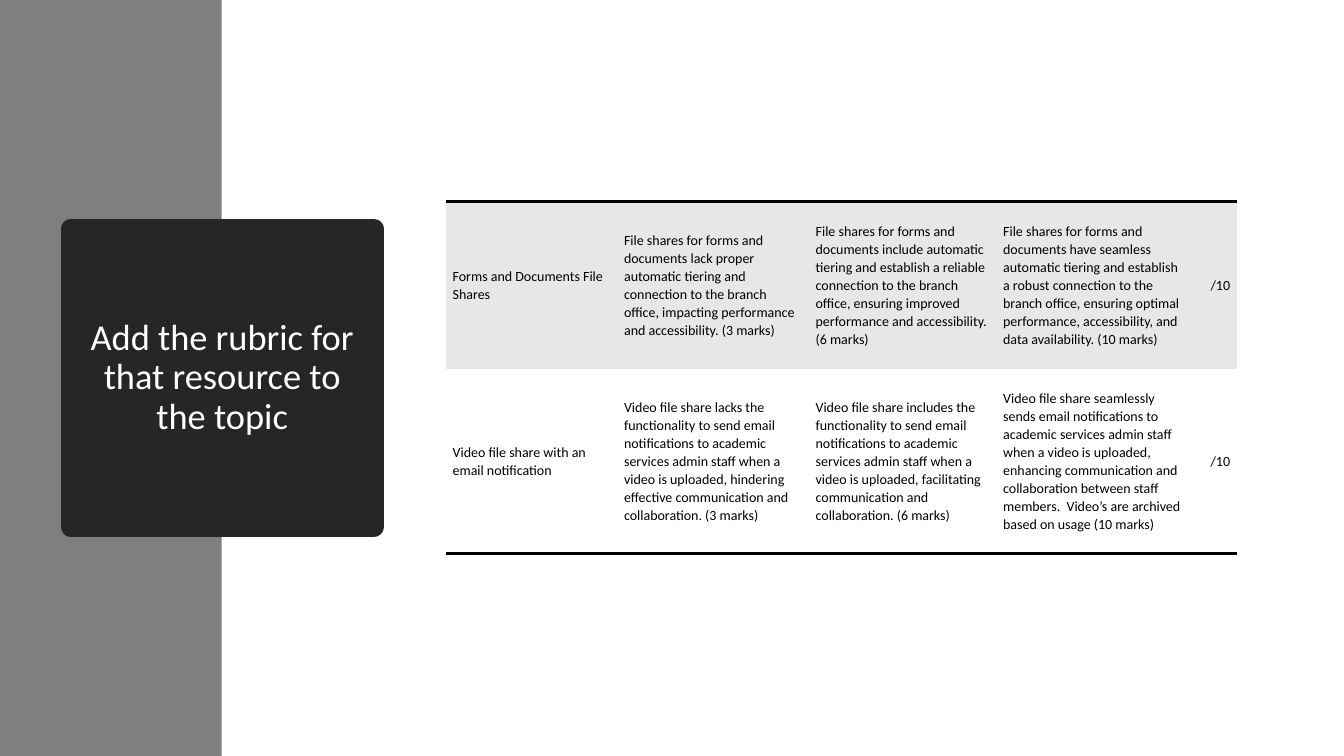
"""Build a slide with a title card beside a two-row marking rubric."""
from lxml.etree import SubElement
from pptx import Presentation
from pptx.dml.color import RGBColor
from pptx.enum.shapes import MSO_SHAPE as Shape
from pptx.enum.text import MSO_ANCHOR as Anchor, PP_ALIGN as Align
from pptx.oxml import parse_xml
from pptx.oxml.ns import nsdecls, qn
from pptx.util import Inches, Pt

BLACK = RGBColor(0x00, 0x00, 0x00)
WHITE = RGBColor(0xFF, 0xFF, 0xFF)
SIDEBAR_GRAY = RGBColor(0x7F, 0x7F, 0x7F)
CARD_GRAY = RGBColor(0x26, 0x26, 0x26)
BAND_GRAY = RGBColor(0xE7, 0xE7, 0xE7)
FONT = "Calibri"
SLIDE_WIDTH, SLIDE_HEIGHT = 13.33, 7.5
PLAIN_TABLE_STYLE = "{2D5ABB26-0587-4C30-8999-92F81FD0307C}"
TITLE = "Add the rubric for that resource to the topic"
COLUMN_WIDTHS = (1.7, 1.9, 1.86, 1.9, 0.49)
ROW_HEIGHTS = (1.66, 1.83)
ROW_FILLS = (BAND_GRAY, WHITE)
ROW_BORDERS = ("lnT", "lnB")
RUBRIC = (
    (
        "Forms and Documents File Shares",
        "File shares for forms and documents lack proper automatic tiering and "
        "connection to the branch office, impacting performance and "
        "accessibility. (3 marks)",
        "File shares for forms and documents include automatic tiering and "
        "establish a reliable connection to the branch office, ensuring "
        "improved performance and accessibility. (6 marks)",
        "File shares for forms and documents have seamless automatic tiering "
        "and establish a robust connection to the branch office, ensuring "
        "optimal performance, accessibility, and data availability. (10 marks)",
        "/10",
    ),
    (
        "Video file share with an email notification",
        "Video file share lacks the functionality to send email notifications "
        "to academic services admin staff when a video is uploaded, hindering "
        "effective communication and collaboration. (3 marks)",
        "Video file share includes the functionality to send email "
        "notifications to academic services admin staff when a video is "
        "uploaded, facilitating communication and collaboration. (6 marks)",
        "Video file share seamlessly sends email notifications to academic "
        "services admin staff when a video is uploaded, enhancing "
        "communication and collaboration between staff members.  Video’s are "
        "archived based on usage (10 marks)",
        "/10",
    ),
)


def add_panel(slide, left, top, width, height, color):
    """Add a plain filled rectangle without an outline."""
    panel = slide.shapes.add_shape(
        Shape.RECTANGLE, Inches(left), Inches(top), Inches(width), Inches(height)
    )
    panel.shadow.inherit = False
    panel.fill.solid()
    panel.fill.fore_color.rgb = color
    panel.line.fill.background()
    return panel


def format_runs(paragraph, size, color):
    """Apply the slide font to every run of a paragraph."""
    for run in paragraph.runs:
        run.font.name = FONT
        run.font.size = Pt(size)
        run.font.color.rgb = color


def add_title_card(slide, left, top, width, height):
    """Add the dark title card, whose thick outline rounds its corners."""
    card = add_panel(slide, left, top, width, height, CARD_GRAY)
    card.line.color.rgb = CARD_GRAY
    card.line.width = Pt(13.75)
    SubElement(card.line._get_or_add_ln(), qn("a:round"))
    frame = card.text_frame
    frame.word_wrap = True
    frame.vertical_anchor = Anchor.MIDDLE
    frame.text = TITLE
    paragraph = frame.paragraphs[0]
    paragraph.alignment = Align.CENTER
    paragraph.line_spacing = 0.9
    format_runs(paragraph, 26, WHITE)


def add_cell_border(cell, side):
    """Draw a black two-point border on one side of a cell."""
    border = parse_xml(
        f'<a:{side} {nsdecls("a")} w="{Pt(2)}"><a:solidFill>'
        f'<a:srgbClr val="{BLACK}"/></a:solidFill></a:{side}>'
    )
    cell._tc.get_or_add_tcPr().insert(0, border)


def fill_cell(cell, text, color, column):
    """Write and format one rubric cell according to its column."""
    cell.fill.solid()
    cell.fill.fore_color.rgb = color
    cell.vertical_anchor = Anchor.MIDDLE
    cell.margin_left = cell.margin_right = Inches(0.07)
    cell.margin_top = cell.margin_bottom = Inches(0.05)
    cell.text_frame.text = text
    paragraph = cell.text_frame.paragraphs[0]
    paragraph.line_spacing = Pt(12.8)
    if column == 0:
        paragraph.space_before = paragraph.space_after = Pt(6)
    if column == len(COLUMN_WIDTHS) - 1:
        paragraph.alignment = Align.RIGHT
    format_runs(paragraph, 10, BLACK)


def add_rubric(slide, left, top, width, height):
    """Add the rubric table, ruled above and below."""
    table = slide.shapes.add_table(
        len(RUBRIC), len(COLUMN_WIDTHS),
        Inches(left), Inches(top), Inches(width), Inches(height),
    ).table
    table.first_row = table.horz_banding = False
    table._tbl.tblPr.find(qn("a:tableStyleId")).text = PLAIN_TABLE_STYLE
    for column, column_width in zip(table.columns, COLUMN_WIDTHS):
        column.width = Inches(column_width)
    for row, row_height, texts, color, side in zip(
        table.rows, ROW_HEIGHTS, RUBRIC, ROW_FILLS, ROW_BORDERS
    ):
        row.height = Inches(row_height)
        for column, (cell, text) in enumerate(zip(row.cells, texts)):
            fill_cell(cell, text, color, column)
            add_cell_border(cell, side)


def main():
    """Build and save the presentation."""
    presentation = Presentation()
    presentation.slide_width = Inches(SLIDE_WIDTH)
    presentation.slide_height = Inches(SLIDE_HEIGHT)
    slide = presentation.slides.add_slide(presentation.slide_layouts[6])
    add_panel(slide, 0, 0, SLIDE_WIDTH, SLIDE_HEIGHT, WHITE)
    add_panel(slide, 0, 0, 2.2, SLIDE_HEIGHT, SIDEBAR_GRAY)
    add_title_card(slide, 0.7, 2.27, 3.01, 2.96)
    add_rubric(slide, 4.42, 2, sum(COLUMN_WIDTHS), sum(ROW_HEIGHTS))
    presentation.save("out.pptx")


if __name__ == "__main__":
    main()
